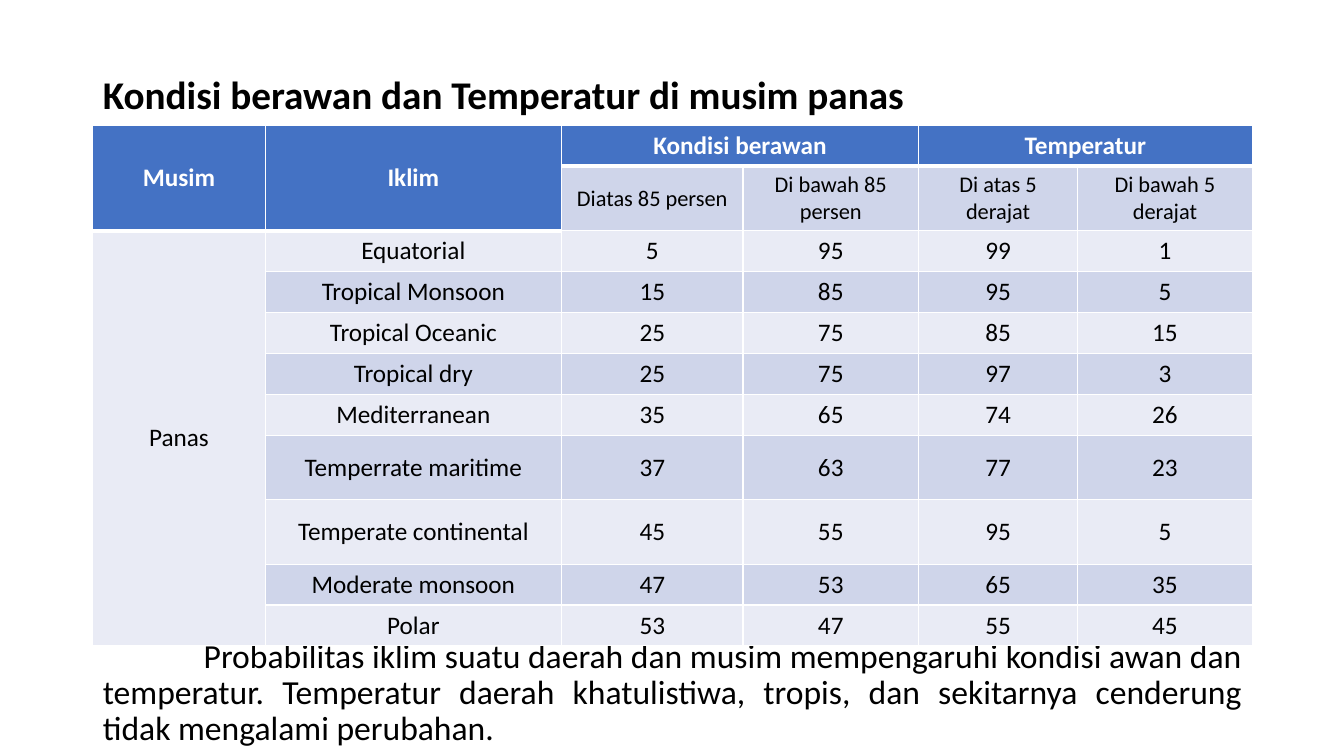
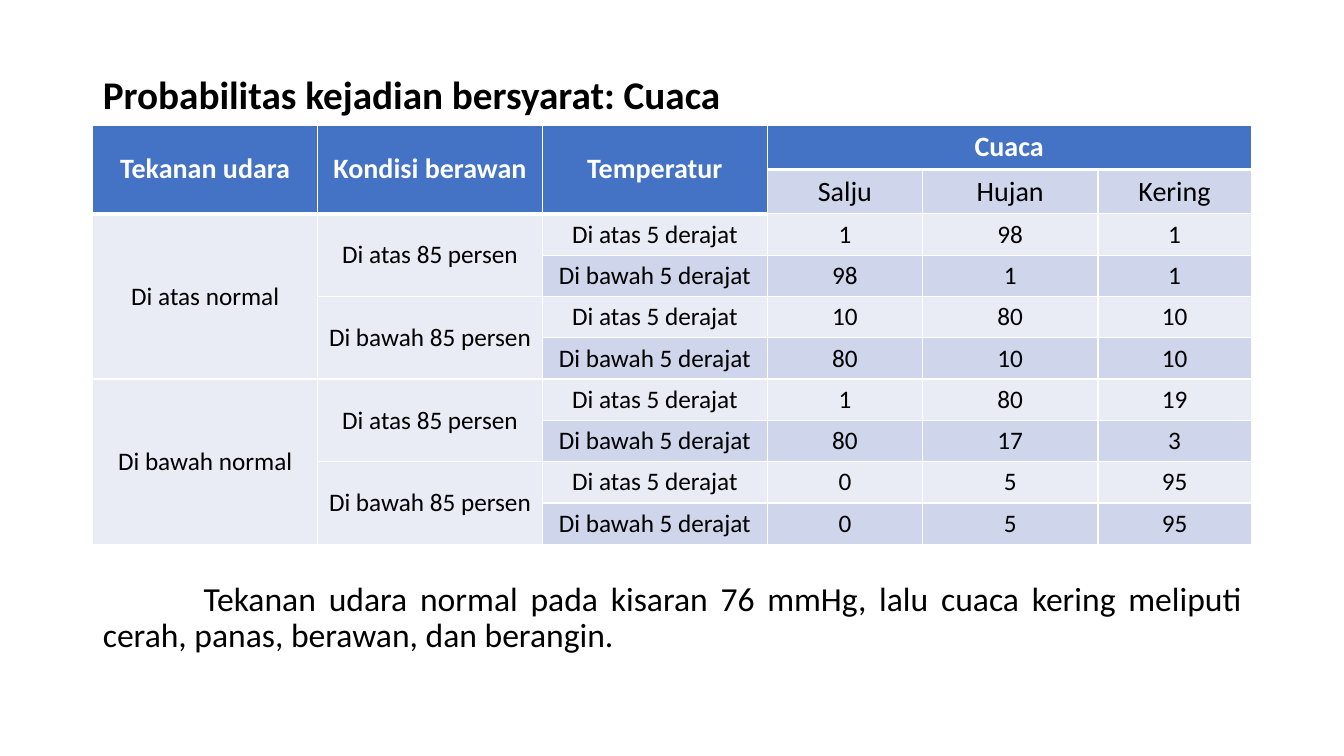
"""Build two slides with probability tables on weather conditions."""
from lxml.etree import SubElement
from pptx import Presentation
from pptx.dml.color import RGBColor
from pptx.enum.text import MSO_ANCHOR, MSO_AUTO_SIZE, PP_ALIGN
from pptx.oxml import parse_xml
from pptx.oxml.ns import nsdecls, qn
from pptx.util import Inches, Pt

SLIDE_WIDTH, SLIDE_HEIGHT = 13.33, 7.5
LEFT, CONTENT_WIDTH = 0.92, 11.5
TITLE_TOP, TABLE_TOP = 0.7, 1.24
FONT = "Calibri"
COLORS = {"header": "4472C4", "dark_band": "CFD5EA", "light_band": "E9EBF5",
          "border": "FFFFFF", "header_text": "FFFFFF", "text": "000000"}
TITLE_FONT = {"name": FONT, "size": Pt(28), "bold": True}
NOTE_FONT = {"name": FONT, "size": Pt(24), "bold": False}
TITLE_PARAGRAPH = {"alignment": PP_ALIGN.LEFT, "line_spacing": 0.9, "space_before": Pt(0)}
NOTE_PARAGRAPH = {**TITLE_PARAGRAPH, "alignment": PP_ALIGN.JUSTIFY}
FRAME = {"word_wrap": True, "auto_size": MSO_AUTO_SIZE.NONE, "vertical_anchor": MSO_ANCHOR.TOP}

MERGE_LEFT, MERGE_UP = "<", "^"
ABOVE, BELOW = "Di atas 5 derajat", "Di bawah 5 derajat"
CLOUDY, CLEAR = "Di atas 85 persen", "Di bawah 85 persen"

SLIDES = [
    {
        "title": "Kondisi berawan dan Temperatur di musim panas",
        "note": "Probabilitas iklim suatu daerah dan musim mempengaruhi kondisi awan dan "
                "temperatur. Temperatur daerah khatulistiwa, tropis, dan sekitarnya cenderung "
                "tidak mengalami perubahan.",
        "note_top": 6.29,
        "header_sizes": (18, 16),
        "columns": [1.71, 2.94, 1.8, 1.74, 1.58, 1.73],
        "row_height": 0.4,
        "tall_rows": {1: 0.64, 7: 0.64, 8: 0.64},
        "rows": [
            ("Musim", "Iklim", "Kondisi berawan", "<", "Temperatur", "<"),
            ("^", "^", "Diatas 85 persen", "Di bawah 85 persen", ABOVE, BELOW),
            ("Panas", "Equatorial", 5, 95, 99, 1),
            ("^", "Tropical Monsoon", 15, 85, 95, 5),
            ("^", "Tropical Oceanic", 25, 75, 85, 15),
            ("^", "Tropical dry", 25, 75, 97, 3),
            ("^", "Mediterranean", 35, 65, 74, 26),
            ("^", "Temperrate maritime", 37, 63, 77, 23),
            ("^", "Temperate continental", 45, 55, 95, 5),
            ("^", "Moderate monsoon", 47, 53, 65, 35),
            ("^", "Polar", 53, 47, 55, 45),
        ],
    },
    {
        "title": "Probabilitas kejadian bersyarat: Cuaca",
        "note": "Tekanan udara normal pada kisaran 76 mmHg, lalu cuaca kering meliputi "
                "cerah, panas, berawan, dan berangin.",
        "note_top": 5.73,
        "header_sizes": (20, 20),
        "columns": [2.23, 2.23, 2.23, 1.54, 1.74, 1.52],
        "row_height": 0.41,
        "tall_rows": {},
        "rows": [
            ("Tekanan udara", "Kondisi berawan", "Temperatur", "Cuaca", "<", "<"),
            ("^", "^", "^", "Salju", "Hujan", "Kering"),
            ("Di atas normal", CLOUDY, ABOVE, 1, 98, 1),
            ("^", "^", BELOW, 98, 1, 1),
            ("^", CLEAR, ABOVE, 10, 80, 10),
            ("^", "^", BELOW, 80, 10, 10),
            ("Di bawah normal", CLOUDY, ABOVE, 1, 80, 19),
            ("^", "^", BELOW, 80, 17, 3),
            ("^", CLEAR, ABOVE, 0, 5, 95),
            ("^", "^", BELOW, 0, 5, 95),
        ],
    },
]


def apply_format(target, values):
    """Set every attribute named in values."""
    for name, value in values.items():
        setattr(target, name, value)


def fill_placeholder(placeholder, text, top, height, font, paragraph_format):
    """Place a placeholder and write one formatted paragraph in it."""
    apply_format(placeholder, {"left": Inches(LEFT), "top": Inches(top),
                               "width": Inches(CONTENT_WIDTH), "height": Inches(height)})
    frame = placeholder.text_frame
    frame.text = text
    apply_format(frame, FRAME)
    paragraph = frame.paragraphs[0]
    apply_format(paragraph, paragraph_format)
    apply_format(paragraph.runs[0].font, font)
    paragraph.runs[0].font.color.rgb = RGBColor.from_string(COLORS["text"])
    return paragraph


def indent_first_line(paragraph):
    """Drop the bullet and indent the first line by one inch."""
    properties = paragraph._p.get_or_add_pPr()
    properties.set("marL", "0")
    properties.set("indent", str(Inches(1)))
    SubElement(properties, qn("a:buNone"))


def set_borders(cell, bottom_width):
    """Draw the four cell borders, with its own width for the bottom one."""
    properties = cell._tc.get_or_add_tcPr()
    for index, side in enumerate("LRTB"):
        width = Pt(bottom_width if side == "B" else 1)
        properties.insert(index, parse_xml(
            f'<a:ln{side} {nsdecls("a")} w="{width}"><a:solidFill>'
            f'<a:srgbClr val="{COLORS["border"]}"/></a:solidFill></a:ln{side}>'))


def count_marks(values, mark):
    """Count how many leading values equal the mark."""
    values = list(values)
    return next((i for i, value in enumerate(values) if value != mark), len(values))


def format_cell(cell, text, fill, size, is_header):
    """Write centred text on a filled cell."""
    cell.text = str(text)
    cell.vertical_anchor = MSO_ANCHOR.MIDDLE
    cell.fill.solid()
    cell.fill.fore_color.rgb = RGBColor.from_string(COLORS[fill])
    paragraph = cell.text_frame.paragraphs[0]
    paragraph.alignment = PP_ALIGN.CENTER
    font = paragraph.runs[0].font
    apply_format(font, {"name": FONT, "size": Pt(size), "bold": is_header})
    font.color.rgb = RGBColor.from_string(COLORS["header_text" if is_header else "text"])


def add_probability_table(slide, content):
    """Add the table, merging cells along the merge marks."""
    rows, columns = content["rows"], content["columns"]
    heights = [content["tall_rows"].get(i, content["row_height"]) for i in range(len(rows))]
    table = slide.shapes.add_table(
        len(rows), len(columns), Inches(LEFT), Inches(TABLE_TOP),
        Inches(CONTENT_WIDTH), Inches(sum(heights))).table
    for column, width in zip(table.columns, columns):
        column.width = Inches(width)
    for row, height in zip(table.rows, heights):
        row.height = Inches(height)
    sizes = dict(enumerate(content["header_sizes"]))
    for i, values in enumerate(rows):
        for j, value in enumerate(values):
            cell = table.cell(i, j)
            is_header = i == 0 or (i == 1 and value == MERGE_UP)
            set_borders(cell, 3 if is_header else 1)
            if value in (MERGE_LEFT, MERGE_UP):
                continue
            fill = "header" if is_header else "dark_band" if i % 2 else "light_band"
            format_cell(cell, value, fill, sizes.get(i, 18), is_header)
            right = count_marks(values[j + 1:], MERGE_LEFT)
            down = count_marks((row[j] for row in rows[i + 1:]), MERGE_UP)
            if right or down:
                cell.merge(table.cell(i + down, j + right))


def main():
    """Build and save the presentation."""
    presentation = Presentation()
    presentation.slide_width = Inches(SLIDE_WIDTH)
    presentation.slide_height = Inches(SLIDE_HEIGHT)
    for content in SLIDES:
        slide = presentation.slides.add_slide(presentation.slide_layouts[1])
        title, note = slide.placeholders
        fill_placeholder(title, content["title"], TITLE_TOP, TABLE_TOP - TITLE_TOP,
                         TITLE_FONT, TITLE_PARAGRAPH)
        note_top = content["note_top"]
        indent_first_line(fill_placeholder(note, content["note"], note_top,
                                           SLIDE_HEIGHT - note_top, NOTE_FONT, NOTE_PARAGRAPH))
        add_probability_table(slide, content)
    presentation.save("out.pptx")


if __name__ == "__main__":
    main()
